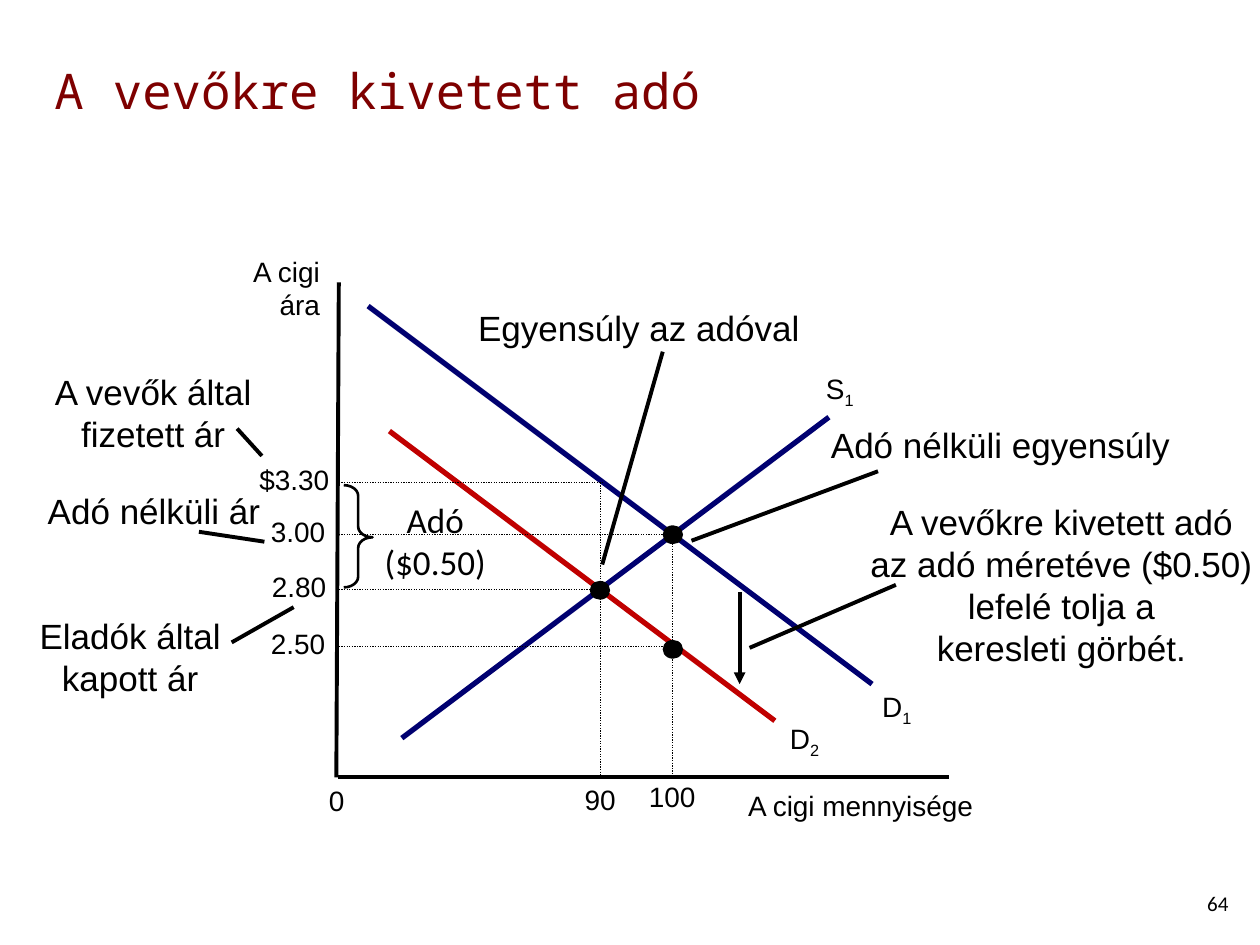
from lxml import etree
from pptx import Presentation
from pptx.dml.color import RGBColor
from pptx.enum import dml, shapes, text
from pptx.oxml.ns import qn
from pptx.util import Cm, Pt

BLACK, NAVY, RED = "000000", "000070", "C00000"
LEFT, MID, RIGHT = text.PP_ALIGN.LEFT, text.PP_ALIGN.CENTER, text.PP_ALIGN.RIGHT
hue = RGBColor.from_string

prs = Presentation()
prs.slide_width, prs.slide_height = Cm(25.4), Cm(19.05)
slide = prs.slides.add_slide(prs.slide_layouts[5])


def label(words, x, y, w, h, size=16, align=MID, wrap=True, face="Arial"):
    """Add a text box; what follows "_" in a line is a subscript."""
    box = slide.shapes.add_textbox(Cm(x), Cm(y), Cm(w), Cm(h))
    frame = box.text_frame
    frame.word_wrap = wrap
    frame.text = words
    for para in frame.paragraphs:
        para.alignment = align
        base, _, sub = para.text.partition("_")
        para.runs[0].text = base
        if sub:
            run = para.add_run()
            run.text = sub
            run.font._element.set("baseline", "-25000")
        for run in para.runs:
            run.font.size = Pt(size)
            run.font.name = face
            run.font.color.rgb = hue(BLACK)


def draw(x1, y1, x2, y2, color=BLACK, width=2.25):
    """Add a straight line without shadow and return it."""
    line = slide.shapes.add_connector(
        shapes.MSO_CONNECTOR.STRAIGHT, Cm(x1), Cm(y1), Cm(x2), Cm(y2))
    line.line.color.rgb = hue(color)
    line.line.width = Pt(width)
    etree.SubElement(line._element.spPr, qn("a:effectLst"))
    return line


# Title and page number
title = slide.shapes.title
title.left, title.top, title.width, title.height = Cm(0.84), Cm(1.07), Cm(24.56), Cm(1.47)
title.text_frame.text = "A vevőkre kivetett adó"
title.text_frame.vertical_anchor = text.MSO_ANCHOR.MIDDLE
head = title.text_frame.paragraphs[0]
head.alignment = LEFT
head.font.size = Pt(28)
head.font.name = "Noto Sans Mono"
head.font.color.rgb = hue("7E0000")
label("64", 23.7, 17.83, 1.7, 1.02, 12, face="Calibri")

# Plot area and axes
plot = slide.shapes.add_shape(
    shapes.MSO_SHAPE.RECTANGLE, Cm(6.83), Cm(5.89), Cm(12.29), Cm(9.73))
plot.shadow.inherit = False
plot.fill.solid()
plot.fill.fore_color.rgb = hue("FFFFFF")
plot.line.color.rgb = hue("FFFFFF")
plot.line.width = Pt(2)
draw(6.83, 5.69, 6.78, 15.67)
draw(6.81, 15.67, 19.13, 15.67)
label("A cigi\nára", 2.79, 5, 3.91, 1.63, align=RIGHT)
label("A cigi mennyisége", 14.83, 15.77, 8.36, 0.94, align=LEFT)
label("0", 6.38, 15.67, 0.84, 0.94, align=LEFT, wrap=False)

# Supply and demand curves
for name, ends, color, x, y in [
    ("D_1", (7.42, 6.17, 17.58, 13.79), NAVY, 17.53, 13.77),
    ("S_1", (8.1, 14.88, 16.71, 8.41), NAVY, 16.38, 7.37),
    ("D_2", (7.85, 8.69, 15.62, 14.53), RED, 15.67, 14.43),
]:
    draw(*ends, color, 3)
    label(name, x, y, 1.1, 0.94, wrap=False)

# Dotted guides with their prices and quantities
guides = []
for price, x, y, w, end in [
    ("$3.30", 4.98, 9.73, 1.93, 12.14),
    ("3.00", 5.21, 10.78, 1.63, 13.51),
    ("2.80", 5.23, 11.89, 1.63, 12.09),
    ("2.50", 5.21, 13.03, 1.63, 13.54),
]:
    guides.append(draw(6.83, y, end, y, width=0.75))
    label(price, x, y - 0.53, w, 0.94, align=LEFT, wrap=False)
for amount, x, top, y, w in [("90", 12.1, 9.73, 15.65, 1.14),
                             ("100", 13.55, 10.85, 15.6, 1.45)]:
    guides.append(draw(x, top, x, y, width=0.75))
    label(amount, x - w / 2, y, w, 0.94, wrap=False)
for guide in guides:
    guide.line.dash_style = dml.MSO_LINE.ROUND_DOT

# Notes and their pointers
for words, x, y, w, h, ends in [
    ("A vevők által\nfizetett ár", 0.74, 7.34, 4.7, 1.96, (4.78, 8.64, 5.28, 9.19)),
    ("Adó nélküli ár", 0.69, 9.75, 4.83, 1.12, (4.01, 10.72, 5.33, 10.92)),
    ("Eladók által\nkapott ár", 0.43, 12.27, 4.39, 1.96, (4.67, 12.95, 5.92, 12.24)),
    ("A vevőkre kivetett adó\naz adó méretéve ($0.50)\nlefelé tolja a\nkeresleti görbét.",
     17.27, 9.96, 8.26, 3.68, (15.11, 13.06, 18.06, 11.79)),
    ("Adó nélküli egyensúly", 16.46, 8.41, 7.42, 1.12, (13.94, 10.9, 17.7, 9.5)),
    ("Egyensúly az adóval", 9.35, 6.05, 7.06, 1.12, (12.14, 11.38, 13.36, 7.09)),
]:
    label(words, x, y, w, h, 20)
    draw(*ends)

# Downward shift of demand
shift = draw(14.91, 11.94, 14.91, 13.79)
etree.SubElement(shift.line._get_or_add_ln(), qn("a:tailEnd"), type="triangle")

# Size of the tax
label("Adó\n($0.50)", 7.39, 9.93, 2.77, 1.96, 20, face="Calibri")
brace = slide.shapes.add_shape(
    shapes.MSO_SHAPE.LEFT_BRACE, Cm(6.93), Cm(9.78), Cm(0.58), Cm(2.06))
brace.rotation = 180
brace.adjustments[0], brace.adjustments[1] = 0.37, 0.49
brace.shadow.inherit = False
brace.fill.background()
brace.line.color.rgb = hue(BLACK)
brace.line.width = Pt(1.5)

# Marked points
for x, y in [(13.36, 10.59), (11.89, 11.71), (13.36, 12.9)]:
    dot = slide.shapes.add_shape(
        shapes.MSO_SHAPE.OVAL, Cm(x), Cm(y), Cm(0.41), Cm(0.38))
    dot.shadow.inherit = False
    dot.fill.solid()
    dot.fill.fore_color.rgb = hue(BLACK)
    dot.line.fill.background()

prs.save("out.pptx")
